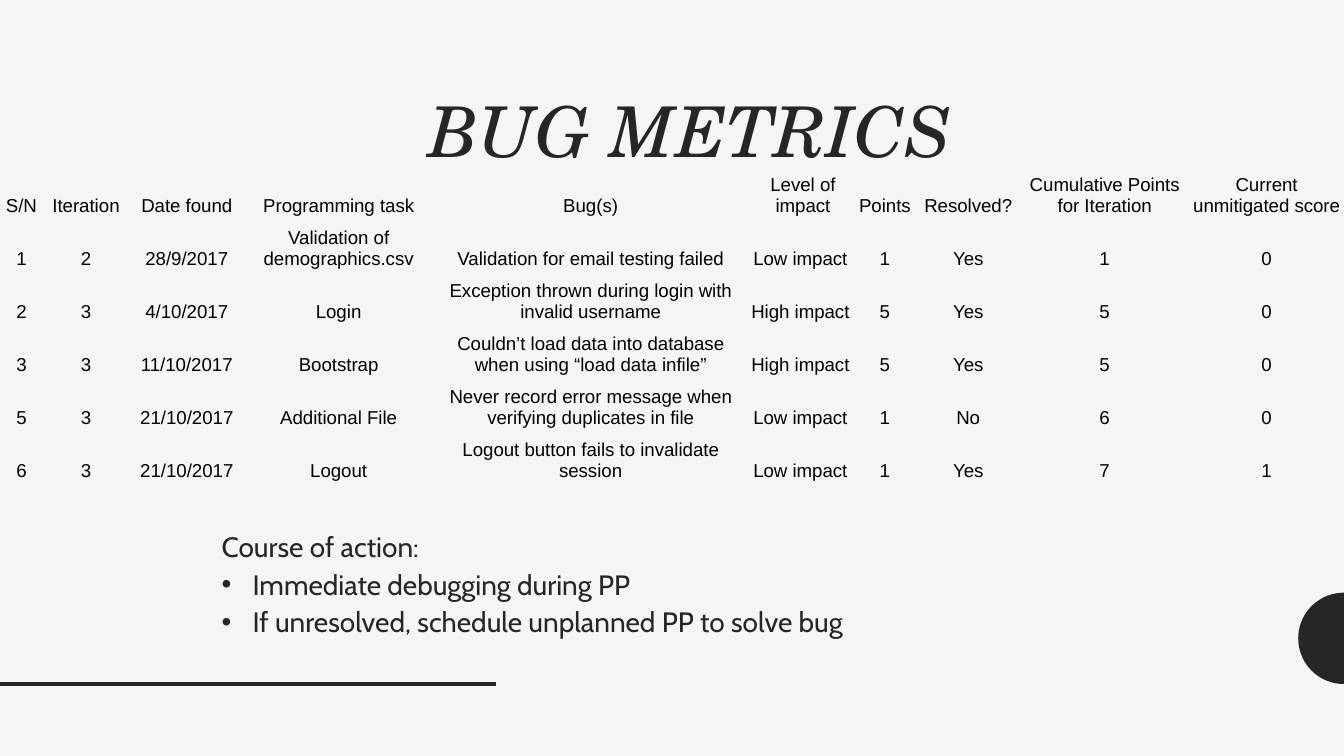
"""Build the bug metrics slide."""
from math import cos, pi, sin

from lxml.etree import SubElement
from pptx import Presentation
from pptx.dml.color import RGBColor
from pptx.enum.shapes import MSO_CONNECTOR
from pptx.enum.text import MSO_ANCHOR, MSO_AUTO_SIZE, PP_ALIGN
from pptx.oxml.ns import qn
from pptx.util import Inches, Pt

PAPER = RGBColor(0xF5, 0xF5, 0xF5)
INK = RGBColor(0x26, 0x26, 0x26)
BLACK = RGBColor(0, 0, 0)
NO_GRID = "{2D5ABB26-0587-4C30-8999-92F81FD0307C}"

WIDTHS = [0.32, 0.64, 0.86, 1.4, 2.35, 0.81, 0.41, 0.83, 1.2, 1.21]
ROWS = [
    ["S/N", "Iteration", "Date found", "Programming task", "Bug(s)",
     "Level of impact", "Points", "Resolved?",
     "Cumulative Points for Iteration", "Current unmitigated score"],
    ["1", "2", "28/9/2017", "Validation of demographics.csv",
     "Validation for email testing failed", "Low impact ", "1", "Yes", "1", "0"],
    ["2", "3", "4/10/2017", "Login",
     "Exception thrown during login with invalid username",
     "High impact ", "5", "Yes", "5", "0"],
    ["3", "3", "11/10/2017", "Bootstrap",
     "Couldn’t load data into database when using “load data infile”",
     "High impact ", "5", "Yes", "5", "0"],
    ["5", "3", "21/10/2017", "Additional File",
     "Never record error message when verifying duplicates in file",
     "Low impact ", "1", "No", "6", "0"],
    ["6", "3", "21/10/2017", "Logout",
     "Logout button fails to invalidate session",
     "Low impact ", "1", "Yes", "7", "1"],
]
ACTIONS = ["Course of action: ", "Immediate debugging during PP",
           "If unresolved, schedule unplanned PP to solve bug"]


def style(para, face, size, color):
    para.font.name = face
    para.font.size = Pt(size)
    para.font.color.rgb = color


def set_up(frame, anchor):
    frame.word_wrap = True
    frame.auto_size = MSO_AUTO_SIZE.NONE
    frame.vertical_anchor = anchor
    frame.margin_left = frame.margin_right = Inches(0.07)
    frame.margin_top = frame.margin_bottom = Inches(0.07)


deck = Presentation()
deck.slide_width = Inches(10)
deck.slide_height = deck.slide_width * 9 // 16
slide = deck.slides.add_slide(deck.slide_layouts[5])
slide.background.fill.solid()
slide.background.fill.fore_color.rgb = PAPER
shapes = slide.shapes

radius, steps = 0.34, 36
arc = [(Inches(10 - radius * sin(pi * i / steps)),
        Inches(4.75 - radius * cos(pi * i / steps))) for i in range(steps + 1)]
outline = shapes.build_freeform(*arc[0])
outline.add_line_segments(arc[1:], close=True)
disc = outline.convert_to_shape()
disc.shadow.inherit = False
disc.fill.solid()
disc.fill.fore_color.rgb = INK
disc.line.fill.background()

rule = shapes.add_connector(MSO_CONNECTOR.STRAIGHT, 0, Inches(5.09),
                            Inches(3.69), Inches(5.09))
rule.line.color.rgb = INK
rule.line.width = Pt(2)
SubElement(rule.element.spPr, qn("a:effectLst"))

title = shapes.title
title.left, title.top = Inches(0.82), Inches(0.06)
title.width, title.height = Inches(6.34), Inches(1.89)
title.text = "BUG METRICS"
set_up(title.text_frame, MSO_ANCHOR.MIDDLE)
head = title.text_frame.paragraphs[0]
style(head, "TeX Gyre Schola", 37.5, INK)
head.font.italic = True
head.alignment = PP_ALIGN.RIGHT
head.line_spacing = 0.9

body = shapes.add_textbox(Inches(1.58), Inches(3.84), Inches(8.5), Inches(0.91))
set_up(body.text_frame, MSO_ANCHOR.TOP)
body.text_frame.text = "\n".join(ACTIONS)
for i, para in enumerate(body.text_frame.paragraphs):
    style(para, "Cabin", 15, INK)
    para.line_spacing = 1.12
    if i:
        props = para._p.get_or_add_pPr()
        props.set("marL", str(Inches(0.23)))
        props.set("indent", str(-Inches(0.23)))
        SubElement(props, qn("a:buFont"), typeface="Arial")
        SubElement(props, qn("a:buChar"), char="•")
        props.append(props.find(qn("a:defRPr")))

grid = shapes.add_table(len(ROWS), len(WIDTHS), 0, Inches(1.22),
                        Inches(sum(WIDTHS)), Inches(2.36)).table
grid.first_row = grid.horz_banding = False
grid._tbl.tblPr.find(qn("a:tableStyleId")).text = NO_GRID
for col, width in zip(grid.columns, WIDTHS):
    col.width = Inches(width)
for r, row in enumerate(ROWS):
    for c, text in enumerate(row):
        cell = grid.cell(r, c)
        cell.text = text
        cell.fill.background()
        cell.vertical_anchor = MSO_ANCHOR.BOTTOM
        cell.margin_left = cell.margin_right = 0
        cell.margin_top = cell.margin_bottom = 0
        para = cell.text_frame.paragraphs[0]
        para.alignment = PP_ALIGN.CENTER
        style(para, "Arial", 10, BLACK)

deck.save("out.pptx")
